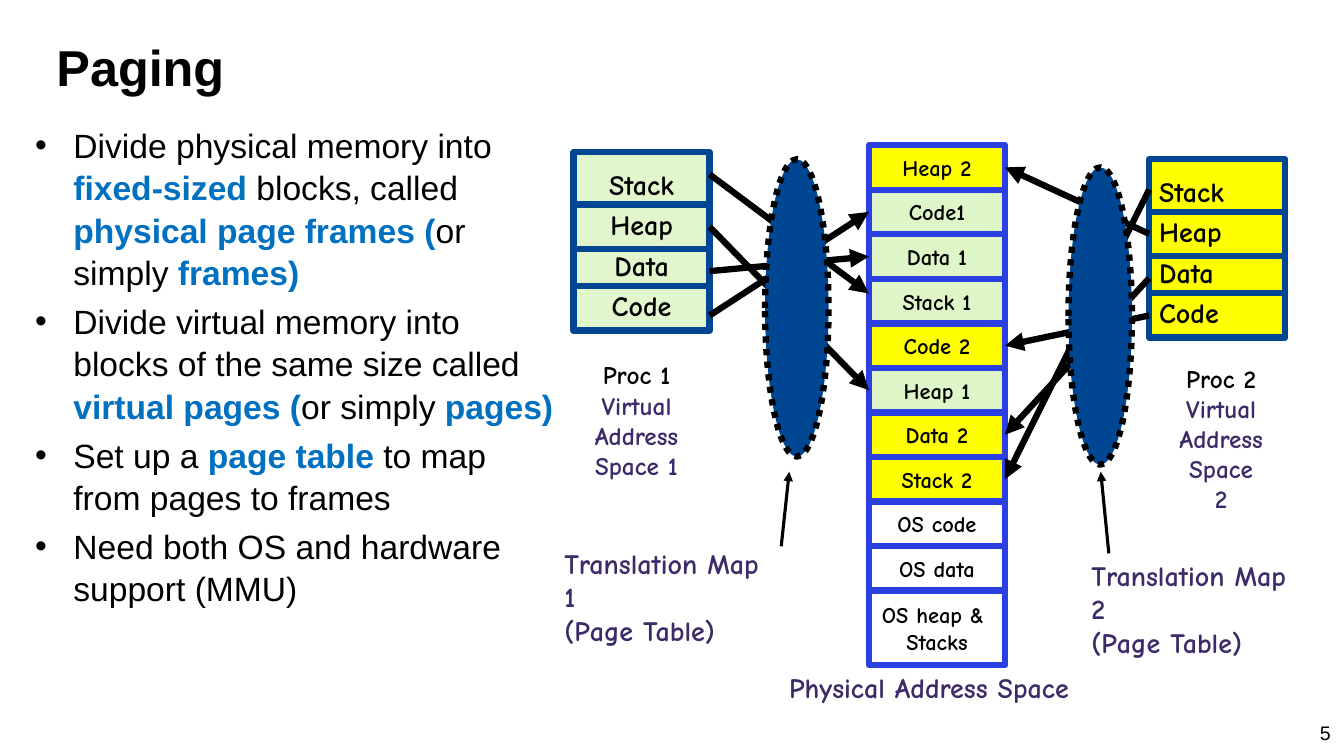
from lxml import etree
from pptx import Presentation, util as u
from pptx.dml.color import RGBColor
from pptx.enum import dml, shapes, text
from pptx.oxml.ns import qn

COLUMNS, ROWS = 133.33, 75  # grid of the slide
BLACK, WHITE, KEYWORD, LABEL = "000000", "FFFFFF", "0070C0", "3D2A68"
NAVY, FRAME_BLUE = "014693", "2A40E2"
YELLOW, GREEN, PALE_GREEN = "FFFF00", "DEF5C8", "E2F6CE"
LEFT, CENTER, RIGHT = text.PP_ALIGN.LEFT, text.PP_ALIGN.CENTER, text.PP_ALIGN.RIGHT
TOP, MIDDLE = text.MSO_ANCHOR.TOP, text.MSO_ANCHOR.MIDDLE


def color(hex_value):
    return RGBColor.from_string(hex_value)


def grid(*lengths):
    """Turn grid columns or rows into slide lengths."""
    return [u.Inches(length / 10) for length in lengths]


class Board:
    """Holds the style and the current slide."""
    body_font, diagram_font = "Arial", "Comic Neue"

    def __init__(self, presentation):
        self.slide = presentation.slides.add_slide(presentation.slide_layouts[5])

    def style(self, font, size, hex_value, bold, name):
        font.name, font.size, font.bold = name, u.Pt(size), bold
        font.color.rgb = color(hex_value)

    def set_lines(self, frame, lines, size, hex_value=BLACK, bold=True, align=LEFT,
                  anchor=TOP, spacing=None, name=None, first_color=None):
        frame.word_wrap, frame.vertical_anchor = True, anchor
        frame.text = "\n".join(lines)
        for index, paragraph in enumerate(frame.paragraphs):
            paragraph.alignment, paragraph.line_spacing = align, spacing
            shade = first_color if first_color and index == 0 else hex_value
            for run in paragraph.runs:
                self.style(run.font, size, shade, bold, name or self.diagram_font)

    def title(self, wording, *place):
        holder = self.slide.shapes.title
        holder.left, holder.top, holder.width, holder.height = grid(*place)
        holder.text_frame.auto_size = text.MSO_AUTO_SIZE.NONE
        self.set_lines(holder.text_frame, [wording], 36, anchor=MIDDLE, name=self.body_font)

    def label(self, lines, *place, **look):
        box = self.slide.shapes.add_textbox(*grid(*place))
        self.set_lines(box.text_frame, lines, **look)

    def bullets(self, points, *place):
        """Each point marks its keywords with asterisks."""
        frame = self.slide.shapes.add_textbox(*grid(*place)).text_frame
        frame.word_wrap = True
        for index, point in enumerate(points):
            paragraph = frame.add_paragraph() if index else frame.paragraphs[0]
            props = paragraph._p.get_or_add_pPr()
            props.set("marL", str(u.Inches(0.38)))
            props.set("indent", str(-u.Inches(0.38)))
            etree.SubElement(props, qn("a:buFont")).set("typeface", self.body_font)
            etree.SubElement(props, qn("a:buChar")).set("char", "•")
            paragraph.line_spacing = 1.05
            paragraph.space_before = u.Pt(4.8 if index else 0)
            for part, wording in enumerate(point.split("*")):
                if wording:
                    run, key = paragraph.add_run(), part % 2 == 1
                    run.text = wording
                    self.style(run.font, 24, KEYWORD if key else BLACK, key, self.body_font)

    def block(self, kind, place, fill, outline, dash=None):
        shape = self.slide.shapes.add_shape(kind, *grid(*place))
        shape.shadow.inherit = False
        shape.fill.solid()
        shape.fill.fore_color.rgb = color(fill)
        shape.line.color.rgb, shape.line.width = color(outline), u.Pt(4.5)
        if dash:
            shape.line.dash_style = dash
        return shape

    def cell(self, lines, place, fill, outline, size, **look):
        shape = self.block(shapes.MSO_SHAPE.RECTANGLE, place, fill, outline)
        self.set_lines(shape.text_frame, lines, size, anchor=MIDDLE, **look)

    def map_oval(self, left, top):
        self.block(shapes.MSO_SHAPE.OVAL, (left, top, 6.3, 29.5), NAVY, BLACK,
                   dml.MSO_LINE.ROUND_DOT)

    def line(self, ends, hex_value=BLACK, width=4.5, arrow=False):
        joint = self.slide.shapes.add_connector(shapes.MSO_CONNECTOR.STRAIGHT, *grid(*ends))
        joint.line.color.rgb, joint.line.width = color(hex_value), u.Pt(width)
        if arrow:
            stroke = joint.line._get_or_add_ln()
            etree.SubElement(stroke, qn("a:tailEnd")).set("type", "triangle")
        etree.SubElement(joint._element.spPr, qn("a:effectLst"))


def main():
    presentation = Presentation()
    presentation.slide_width, presentation.slide_height = grid(COLUMNS, ROWS)
    board = Board(presentation)

    # Heading and bullet points
    board.title("Paging", 4.6, 3, 124, 7.1)
    board.bullets([
        "Divide physical memory into *fixed-sized* blocks, called "
        "*physical page frames (*or simply *frames)*",
        "Divide virtual memory into blocks of the same size called "
        "*virtual pages (*or simply *pages)*",
        "Set up a *page table *to map from pages to frames",
        "Need both OS and hardware support (MMU)",
    ], 2.5, 11.7, 53.6, 59.2)
    board.label(["5"], 126.8, 71, 6.2, 4, size=14, bold=False, align=RIGHT,
                name=board.body_font)

    # Virtual address spaces
    segments = ["Stack", "Heap", "Data", "Code"]
    width = 13.5
    processes = [(1, 56.9, 15.1, PALE_GREEN, CENTER, 58, 35.2),
                 (2, 114, 15.8, YELLOW, LEFT, 116, 35.5)]
    for number, left, top, fill, align, label_left, label_top in processes:
        board.cell(segments, (left, top, width, 17.7), fill, NAVY, 20,
                   align=align, spacing=1.2)
        for divider in (5.2, 9.6, 13.3):
            board.line((left, top + divider, left + width, top + divider), NAVY)
        board.label([f"Proc {number}", "Virtual", "Address", f"Space {number}"],
                    label_left, label_top, 10.3, 13.1, size=18, hex_value=LABEL,
                    first_color=BLACK, align=CENTER)

    # Physical address space
    memory_left, memory_top, frame_height = 86.2, 14.4, 4.42
    frames = ["Heap 2", "Code1", "Data 1", "Stack 1", "Code 2", "Heap 1",
              "Data 2", "Stack 2", "OS code", "OS data"]
    owner_fill = {"1": GREEN, "2": YELLOW}
    for index, frame in enumerate(frames):
        board.cell([frame], (memory_left, memory_top + index * frame_height, width,
                             frame_height),
                   owner_fill.get(frame[-1], WHITE), FRAME_BLUE, 16, align=CENTER)
    board.cell(["OS heap & ", "Stacks"],
               (memory_left, memory_top + len(frames) * frame_height, width, 7.4),
               WHITE, FRAME_BLUE, 16, align=CENTER)
    board.label(["Physical Address Space"], 77.3, 66, 32.5, 5, size=20, hex_value=LABEL)

    # Arrows from pages to frames: edges, page heights, frame positions
    mappings = [(70.4, memory_left, (17.3, 22.5, 26.9, 31.3), (2.83, 5, 2, 1)),
                (114, memory_left + width, (18.8, 23.2, 27.6, 31.3), (7, 0, 6, 4))]
    for page_edge, frame_edge, pages, targets in mappings:
        for page, target in zip(pages, targets):
            board.line((page_edge, page, frame_edge,
                        memory_top + (target + 0.5) * frame_height), arrow=True)

    # Translation maps with their labels and pointers
    maps = [(1, 75.9, 15.8, 55, 53.7, (77.5, 54.2, 78.3, 46.8)),
            (2, 106, 16.6, 107.3, 54.9, (110, 54.9, 109.2, 46.8))]
    for number, left, top, label_left, label_top, pointer in maps:
        board.map_oval(left, top)
        board.label([f"Translation Map {number}", "(Page Table)"],
                    label_left, label_top, 22.6, 7.7, size=20, hex_value=LABEL)
        board.line(pointer, width=2.25, arrow=True)

    presentation.save("out.pptx")


if __name__ == "__main__":
    main()
